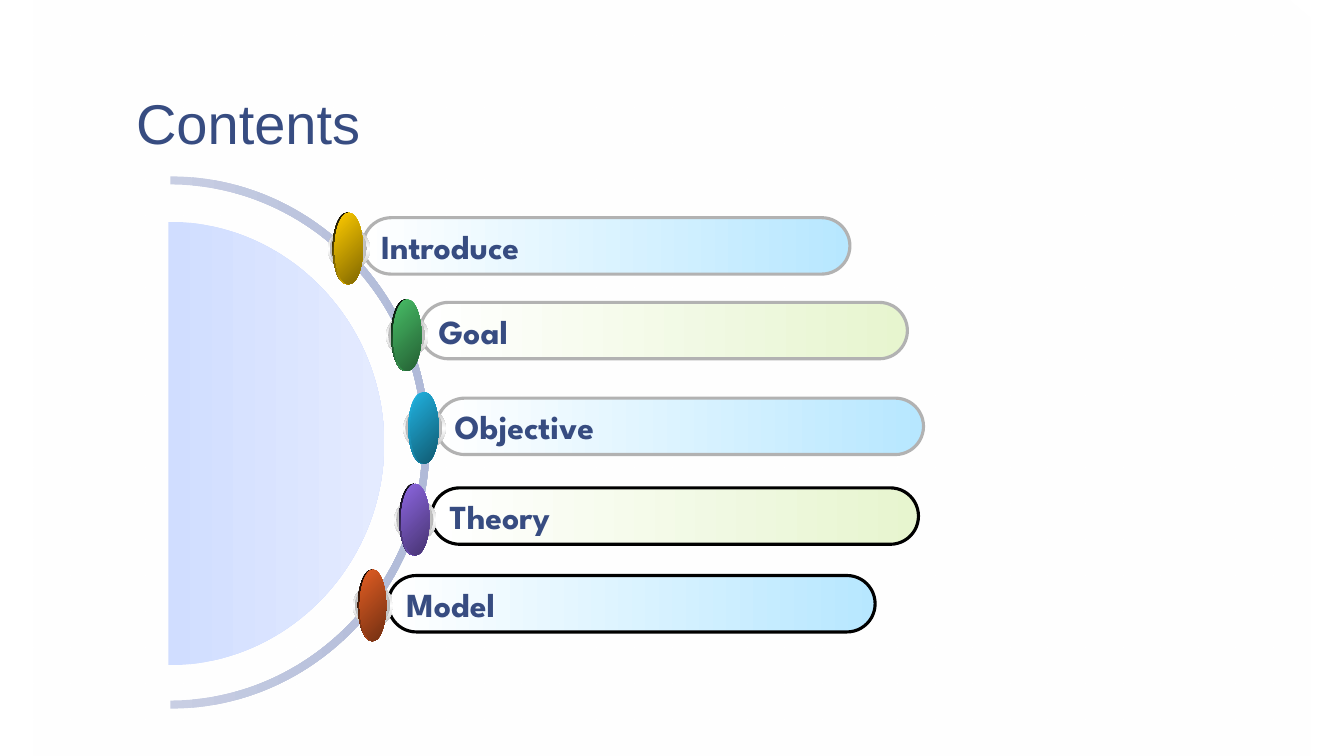
"""Build the Contents slide: five labelled bars around a half circle."""
import lxml.etree
import pptx
import pptx.dml.color
import pptx.enum.shapes
import pptx.enum.text
import pptx.oxml.ns
import pptx.util

Inches = pptx.util.Inches
SHAPES = pptx.enum.shapes.MSO_SHAPE
ANCHORS = pptx.enum.text.MSO_ANCHOR
qn = pptx.oxml.ns.qn

COLORS = {
    "text": "374C81", "white": "FFFFFF", "black": "000000", "gray": "B2B2B2",
    "blue": "B7E7FF", "lime": "E7F5CF",
    "arc_light": "C8CEE3", "arc_dark": "B0BAD8",
    "disc_dark": "D0DDFF", "disc_light": "E4EBFF",
    "halo": "B6B6B6", "halo_inner": "B8B8B8",
    "yellow": "FFCC00", "yellow_dark": "7F6600",
    "green": "48BE67", "green_dark": "245F33",
    "cyan": "21B3E1", "cyan_dark": "105970", "cyan_shade": "1880A1",
    "purple": "8D67E1", "purple_dark": "463370",
    "orange": "E35E23", "orange_dark": "712F12",
}

BAR_SIZE = (4.83, 0.56)
BEAD_HEIGHT = 0.71
BEAD_WIDTH = 0.28
CURVE_RATIO = 0.55

ITEMS = [
    {"label": "Introduce", "bar": (3.6, 2.16), "tint": "blue", "border": "gray",
     "bead": (3.32, 2.11), "color": "yellow"},
    {"label": "Goal", "bar": (4.17, 3), "tint": "lime", "border": "gray",
     "bead": (3.9, 2.97), "color": "green"},
    {"label": "Objective", "bar": (4.33, 3.95), "tint": "blue", "border": "gray",
     "bead": (4.07, 3.89), "color": "cyan", "shade": ("cyan", "cyan_shade"), "shade_angle": 90},
    {"label": "Theory", "bar": (4.28, 4.84), "tint": "lime", "border": "black",
     "bead": (3.98, 4.8), "color": "purple"},
    {"label": "Model", "bar": (3.85, 5.71), "tint": "blue", "border": "black",
     "bead": (3.57, 5.65), "color": "orange", "width": 0.26},
]


def rgb(name):
    return pptx.dml.color.RGBColor.from_string(COLORS[name])


def write_text(frame, text, font="Arial", size=24, bold=False, color="text",
               anchor=ANCHORS.MIDDLE, wrap=False, line_spacing=1.0):
    frame.word_wrap = wrap
    frame.vertical_anchor = anchor
    paragraph = frame.paragraphs[0]
    paragraph.alignment = pptx.enum.text.PP_ALIGN.LEFT
    paragraph.line_spacing = line_spacing
    run = paragraph.add_run()
    run.text = text
    run.font.name = font
    run.font.size = pptx.util.Pt(size)
    run.font.bold = bold
    run.font.color.rgb = rgb(color)


class SlideBuilder:
    def __init__(self, slide, label_font, border_width):
        self.slide = slide
        self.label_font = label_font
        self.border_width = pptx.util.Pt(border_width)

    def paint(self, shape, colors, angle, opacities=None):
        shape.shadow.inherit = False
        shape.line.fill.background()
        shape.fill.gradient()
        shape.fill.gradient_angle = -angle % 360
        stops = shape.element.spPr.find(qn("a:gradFill")).find(qn("a:gsLst"))
        for stop in list(stops):
            stops.remove(stop)
        for index, name in enumerate(colors):
            position = index * 100000 // (len(colors) - 1)
            stop = lxml.etree.SubElement(stops, qn("a:gs"), pos=str(position))
            color = lxml.etree.SubElement(stop, qn("a:srgbClr"), val=COLORS[name])
            if opacities:
                lxml.etree.SubElement(color, qn("a:alpha"), val=str(opacities[index] * 1000))

    def preset(self, kind, left, top, width, height, colors, angle=0, opacities=None):
        shape = self.slide.shapes.add_shape(
            kind, Inches(left), Inches(top), Inches(width), Inches(height))
        self.paint(shape, colors, angle, opacities)
        return shape

    def half_ellipse(self, center, outer, colors, inner=None):
        def edge(radius_x, radius_y):
            near_x, near_y = CURVE_RATIO * radius_x, CURVE_RATIO * radius_y
            offsets = [(0, -radius_y), (near_x, -radius_y), (radius_x, -near_y), (radius_x, 0),
                       (radius_x, near_y), (near_x, radius_y), (0, radius_y)]
            return [(Inches(center[0] + x), Inches(center[1] + y)) for x, y in offsets]

        points = edge(*outer) + (edge(*inner)[::-1] if inner else [])
        builder = self.slide.shapes.build_freeform(*points[0])
        builder.add_line_segments(points[1:], close=True)
        shape = builder.convert_to_shape()
        self.round_off(shape, (0, 3, 7, 10) if inner else (0, 3))
        self.paint(shape, colors, 0)

    def round_off(self, shape, starts):
        lines = list(shape.element.spPr.iter(qn("a:lnTo")))
        for start in starts:
            group = lines[start:start + 3]
            curve = lxml.etree.Element(qn("a:cubicBezTo"))
            group[0].addprevious(curve)
            for line in group:
                curve.append(line[0])
                line.getparent().remove(line)

    def bar(self, label, position, tint, border):
        shape = self.preset(SHAPES.ROUNDED_RECTANGLE, *position, *BAR_SIZE, ("white", tint))
        shape.adjustments[0] = 0.5
        shape.line.color.rgb = rgb(border)
        shape.line.width = self.border_width
        write_text(shape.text_frame, label, font=self.label_font, bold=True)

    def bead(self, position, color, width=BEAD_WIDTH, shade=None, shade_angle=45):
        left, top = position
        oval = SHAPES.OVAL
        self.preset(oval, left - 0.07, top + 0.15, width + 0.14, 0.42,
                    ("halo", "white", "halo"), 90)
        self.preset(oval, left - 0.05, top + 0.17, width + 0.09, 0.37,
                    ("halo_inner", "white", "halo_inner"))
        self.preset(oval, left - 0.02, top, BEAD_WIDTH, BEAD_HEIGHT,
                    shade or ("black", color), shade_angle)
        self.preset(oval, left, top, width, BEAD_HEIGHT, (color, color + "_dark"), 45)

    def title(self, text):
        box = self.slide.shapes.add_textbox(
            Inches(1.22), Inches(0.09), Inches(11.11), Inches(1.53))
        frame = box.text_frame
        frame.margin_left = frame.margin_right = Inches(0.13)
        frame.margin_top = frame.margin_bottom = Inches(0.07)
        write_text(frame, text, size=40, anchor=ANCHORS.BOTTOM, wrap=True, line_spacing=0.85)


def main():
    presentation = pptx.Presentation()
    presentation.slide_width = Inches(13.33)
    presentation.slide_height = Inches(7.5)
    slide = presentation.slides.add_slide(presentation.slide_layouts[6])
    builder = SlideBuilder(slide, label_font="League Spartan", border_width=2.25)

    builder.preset(SHAPES.RECTANGLE, 0.33, 0, 12.67, 7.5, ("white", "white"), 130, (0, 55))
    builder.half_ellipse((1.69, 4.39), (2.57, 2.64), ("arc_light", "arc_dark"),
                         inner=(2.5, 2.56))
    builder.half_ellipse((1.67, 4.4), (2.14, 2.2), ("disc_dark", "disc_light"))
    for item in ITEMS:
        builder.bar(item["label"], item["bar"], item["tint"], item["border"])
    for item in ITEMS:
        builder.bead(item["bead"], item["color"], item.get("width", BEAD_WIDTH),
                     item.get("shade"), item.get("shade_angle", 45))
    builder.title("Contents")
    presentation.save("out.pptx")


if __name__ == "__main__":
    main()
